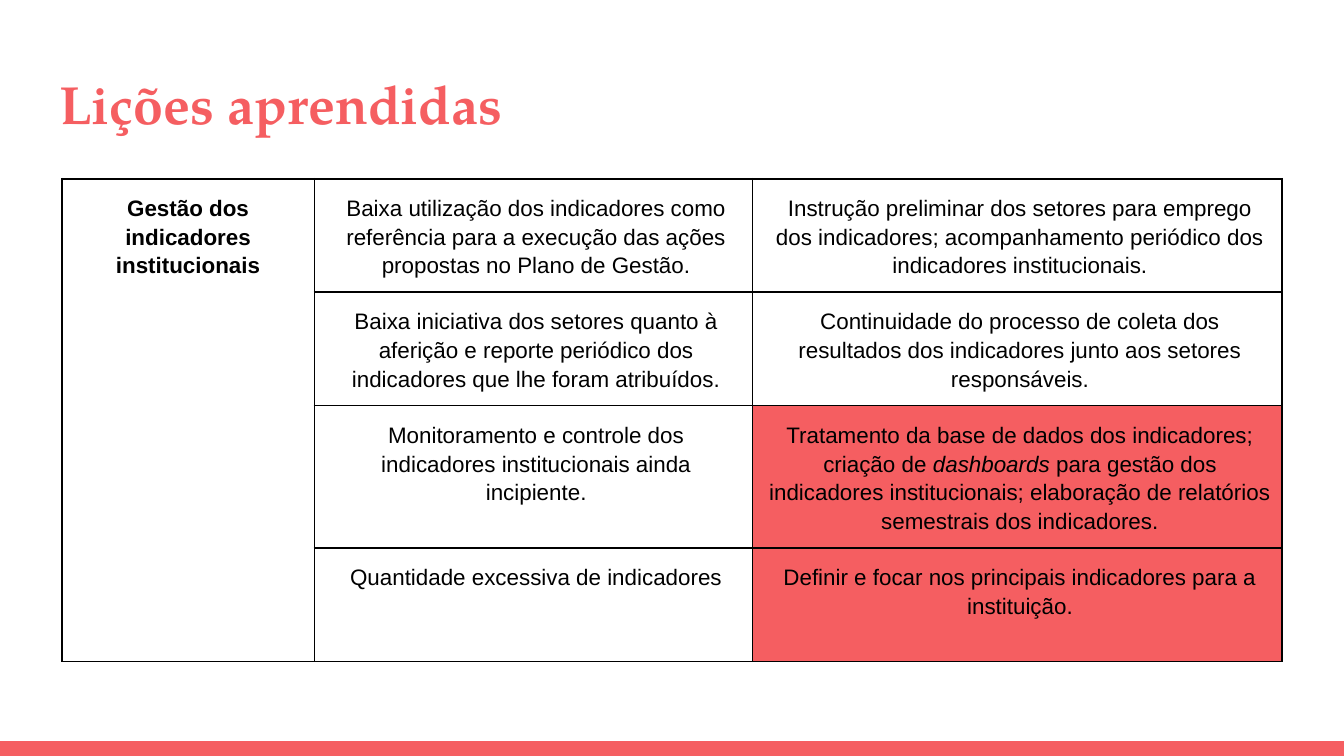
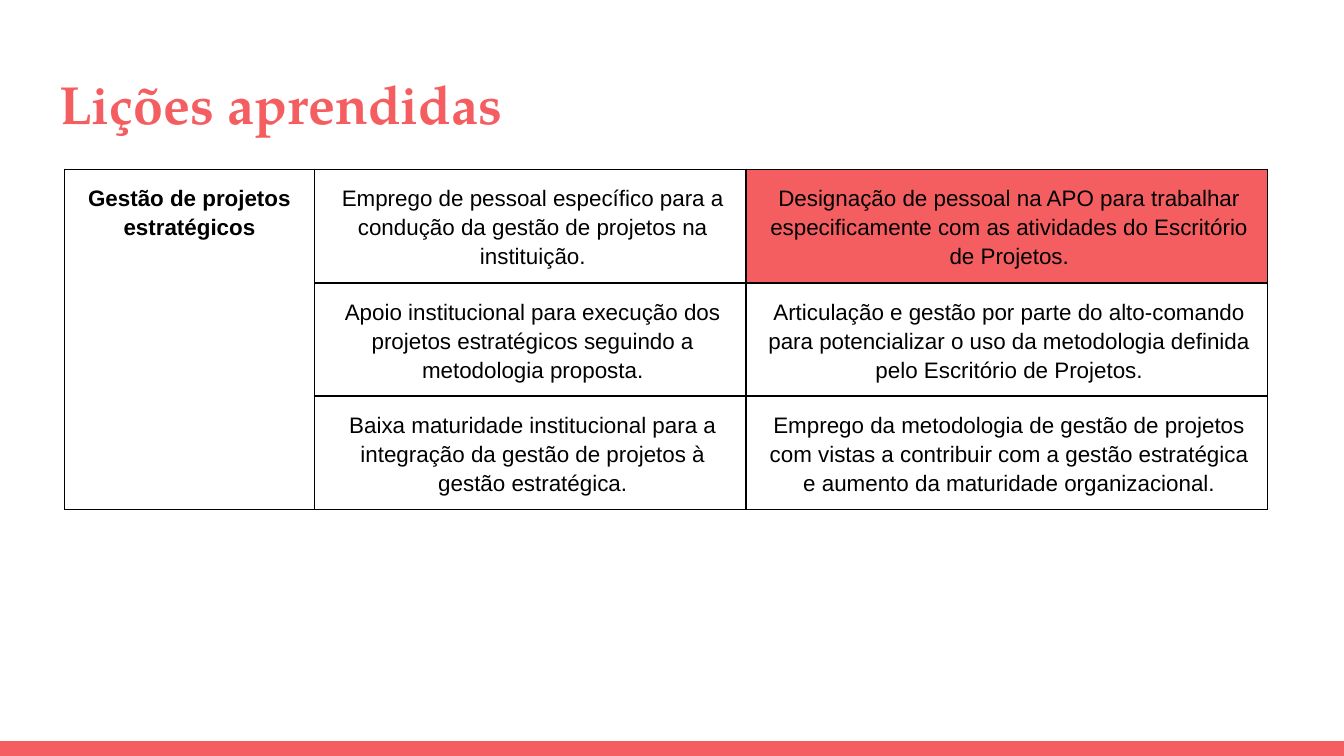
from lxml.etree import SubElement
from pptx import Presentation
from pptx.dml.color import RGBColor
from pptx.enum.shapes import MSO_SHAPE
from pptx.enum.text import MSO_ANCHOR, MSO_AUTO_SIZE, PP_ALIGN
from pptx.oxml.ns import qn
from pptx.util import Inches, Pt

CORAL = "F55E61"
BLACK = "000000"
SERIF = "TeX Gyre Pagella"
SANS = "Arial"
WIDTH = 10
HEIGHT = WIDTH * 9 / 16
BAND = 0.11
FRAME = 3.28  # nominal side of a table; rows grow to fit their text

# Each row: problem, response, whether the response is highlighted.
# Asterisks enclose italic words.
METRICS = [
    ("Baixa utilização dos indicadores como referência para a execução das "
     "ações propostas no Plano de Gestão.",
     "Instrução preliminar dos setores para emprego dos indicadores; "
     "acompanhamento periódico dos indicadores institucionais.", False),
    ("Baixa iniciativa dos setores quanto à aferição e reporte periódico dos "
     "indicadores que lhe foram atribuídos.",
     "Continuidade do processo de coleta dos resultados dos indicadores "
     "junto aos setores responsáveis.", False),
    ("Monitoramento e controle dos indicadores institucionais ainda "
     "incipiente.",
     "Tratamento da base de dados dos indicadores; criação de *dashboards* "
     "para gestão dos indicadores institucionais; elaboração de relatórios "
     "semestrais dos indicadores.", True),
    ("Quantidade excessiva de indicadores",
     "Definir e focar nos principais indicadores para a instituição.", True),
]
PROJECTS = [
    ("Emprego de pessoal específico para a condução da gestão de projetos na "
     "instituição.",
     "Designação de pessoal na APO para trabalhar especificamente com as "
     "atividades do Escritório de Projetos.", True),
    ("Apoio institucional para execução dos projetos estratégicos seguindo a "
     "metodologia proposta.",
     "Articulação e gestão por parte do alto-comando para potencializar o "
     "uso da metodologia definida pelo Escritório de Projetos.", False),
    ("Baixa maturidade institucional para a integração da gestão de projetos "
     "à gestão estratégica.",
     "Emprego da metodologia de gestão de projetos com vistas a contribuir "
     "com a gestão estratégica e aumento da maturidade organizacional.",
     False),
]


def color(code):
    return RGBColor.from_string(code)


def style(font, name, size, code, bold):
    font.name, font.size, font.bold = name, Pt(size), bold
    font.color.rgb = color(code)


def add_page(deck, text):
    """Add a slide with its title and bottom band."""
    page = deck.slides.add_slide(deck.slide_layouts[5])
    band = page.shapes.add_shape(
        MSO_SHAPE.RECTANGLE, 0, Inches(HEIGHT - BAND),
        Inches(WIDTH), Inches(BAND))
    band.shadow.inherit = False
    band.fill.solid()
    band.fill.fore_color.rgb = color(CORAL)
    band.line.fill.background()

    title = page.shapes.title
    title.left, title.top = Inches(0.34), Inches(0.43)
    title.width, title.height = Inches(9.32), Inches(0.68)
    frame = title.text_frame
    frame.text = text
    frame.word_wrap = True
    frame.auto_size = MSO_AUTO_SIZE.NONE
    frame.vertical_anchor = MSO_ANCHOR.TOP
    frame.margin_left = frame.margin_right = Inches(0.1)
    frame.margin_top = frame.margin_bottom = Inches(0.1)
    para = frame.paragraphs[0]
    para.alignment = PP_ALIGN.LEFT
    style(para.font, SERIF, 28.8, CORAL, True)
    return page


def set_frame(cell):
    """Draw the four borders of a cell and set its fill to none."""
    props = cell._tc.get_or_add_tcPr()
    for side in ("lnL", "lnR", "lnT", "lnB"):
        line = SubElement(props, qn("a:" + side), w=str(Pt(1)))
        fill = SubElement(line, qn("a:solidFill"))
        SubElement(fill, qn("a:srgbClr"), val=BLACK)
    cell.fill.background()


def write(cell, text, bold=False, left=0.04, right=0):
    """Fill a cell with centred text between left and right indents."""
    cell.margin_left = cell.margin_right = Inches(0.07)
    cell.margin_top = cell.margin_bottom = Inches(0.1)
    para = cell.text_frame.paragraphs[0]
    para.alignment = PP_ALIGN.CENTER
    para.line_spacing = 1.15
    props = para._p.get_or_add_pPr()
    props.set("marL", str(Inches(left)))
    props.set("marR", str(Inches(right)))
    props.set("indent", "0")
    style(para.font, SANS, 12, BLACK, bold)
    for index, part in enumerate(text.split("*")):
        run = para.add_run()
        run.text = part
        if index % 2:
            run.font.italic = True


def add_grid(page, topic, lessons, left, top, widths, heights):
    """Add a table whose first column is one merged topic cell."""
    shape = page.shapes.add_table(
        len(lessons), len(widths), Inches(left), Inches(top),
        Inches(FRAME), Inches(FRAME))
    grid = shape.table
    grid.first_row = grid.horz_banding = False
    for column, width in zip(grid.columns, widths):
        column.width = Inches(width)
    for row, height in zip(grid.rows, heights):
        row.height = Inches(height)
        for cell in row.cells:
            set_frame(cell)
    shape.width = shape.height = Inches(FRAME)

    grid.cell(0, 0).merge(grid.cell(len(lessons) - 1, 0))
    write(grid.cell(0, 0), topic, bold=True, left=0.08, right=0.08)
    for index, (issue, action, marked) in enumerate(lessons):
        write(grid.cell(index, 1), issue)
        answer = grid.cell(index, 2)
        write(answer, action)
        if marked:
            answer.fill.solid()
            answer.fill.fore_color.rgb = color(CORAL)


def main():
    deck = Presentation()
    deck.slide_width, deck.slide_height = Inches(WIDTH), Inches(HEIGHT)
    title = "Lições aprendidas"
    add_grid(add_page(deck, title), "Gestão dos indicadores institucionais",
             METRICS, 0.46, 1.33, [1.88, 3.26, 3.94],
             [0.64, 0.64, 0.79, 0.33])
    add_grid(add_page(deck, title), "Gestão de projetos estratégicos",
             PROJECTS, 0.48, 1.26, [1.86, 3.21, 3.88], [0.49, 0.64, 0.64])
    deck.save("out.pptx")


if __name__ == "__main__":
    main()
